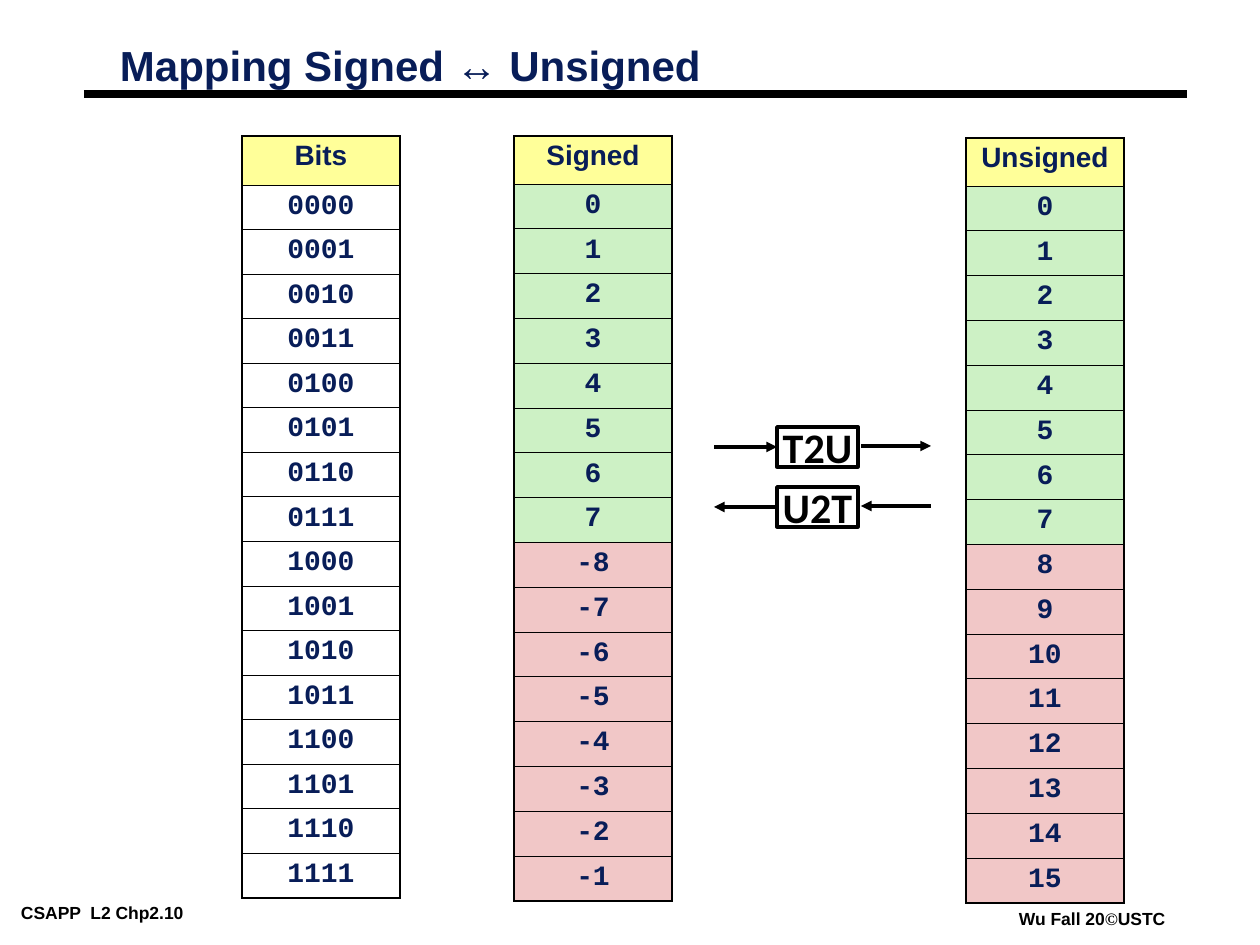
"""Build the slide that maps signed to unsigned four-bit values."""

from pptx import Presentation
from pptx.dml.color import RGBColor
from pptx.enum.shapes import MSO_CONNECTOR, MSO_SHAPE
from pptx.enum.text import MSO_ANCHOR, PP_ALIGN
from pptx.oxml.xmlchemy import OxmlElement
from pptx.util import Emu, Pt

BLACK = RGBColor(0x00, 0x00, 0x00)
WHITE = RGBColor(0xFF, 0xFF, 0xFF)
NAVY = RGBColor(0x08, 0x1D, 0x58)
YELLOW = RGBColor(0xFF, 0xFF, 0x99)
GREEN = RGBColor(0xCD, 0xF1, 0xC5)
PINK = RGBColor(0xF1, 0xC7, 0xC7)

TITLE = "Mapping Signed ↔ Unsigned"
COURSE = "CSAPP  L2 Chp2.10"
CREDIT = [("Wu Fall 20", "Arial"), ("©", "Times New Roman"), ("USTC", "Arial")]

HALF = 8
COUNT = 2 * HALF
COLUMNS = [
    {"heading": "Signed", "values": [*range(HALF), *range(-HALF, 0)],
     "fills": (GREEN, PINK), "left": 514, "top": 136, "header": 48, "height": 765},
    {"heading": "Unsigned", "values": range(COUNT),
     "fills": (GREEN, PINK), "left": 966, "top": 138, "header": 48, "height": 765},
    {"heading": "Bits", "values": [f"{n:04b}" for n in range(COUNT)],
     "fills": (None, None), "left": 242, "top": 136, "header": 49, "height": 762},
]
COLUMN_WIDTH = 158
THICK, THIN = 1.08, 0.45

CONVERSIONS = [("U2T", 487, "tailEnd"), ("T2U", 427, "headEnd")]
BOX_LEFT, BOX_WIDTH, BOX_HEIGHT = 777, 81, 40
ARROW_LEFT, ARROW_RIGHT, ARROW_GAP = 714, 931, 3


def px(length):
    return Emu(round(length * 914400 / 126))


def write(frame, text, size, font="Arial", color=BLACK, align=PP_ALIGN.LEFT,
          spacing=None, insets=(9, 4), wrap=True, anchor=MSO_ANCHOR.TOP):
    frame.word_wrap = wrap
    frame.vertical_anchor = anchor
    frame.margin_left = frame.margin_right = px(insets[0])
    frame.margin_top = frame.margin_bottom = px(insets[1])
    paragraph = frame.paragraphs[0]
    paragraph.alignment = align
    paragraph.line_spacing = spacing
    for part, face in [(text, font)] if isinstance(text, str) else text:
        run = paragraph.add_run()
        run.text = part
        run.font.name = face
        run.font.size = Pt(size)
        run.font.bold = True
        run.font.color.rgb = color


def add_label(slide, text, left, top, width, height, **style):
    label = slide.shapes.add_textbox(px(left), px(top), px(width), px(height))
    write(label.text_frame, text, **style)


def add_line(slide, start, end, width, arrow=None):
    line = slide.shapes.add_connector(
        MSO_CONNECTOR.STRAIGHT, *map(px, start), *map(px, end))
    line.line.color.rgb = BLACK
    line.line.width = Pt(width)
    if arrow:
        head = OxmlElement(f"a:{arrow}")
        head.set("type", "triangle")
        line.line._get_or_add_ln().append(head)
    line._element.spPr.append(OxmlElement("a:effectLst"))
    return line


def add_borders(cell, top, bottom):
    properties = cell._tc.get_or_add_tcPr()
    for side, width in (("L", THICK), ("R", THICK), ("T", top), ("B", bottom)):
        border = OxmlElement(f"a:ln{side}")
        border.set("w", str(Pt(width)))
        fill = OxmlElement("a:solidFill")
        color = OxmlElement("a:srgbClr")
        color.set("val", str(BLACK))
        fill.append(color)
        border.append(fill)
        properties.append(border)


def add_column(slide, heading, values, fills, left, top, header, height):
    table = slide.shapes.add_table(
        COUNT + 1, 1, px(left), px(top), px(COLUMN_WIDTH), px(height)).table
    table.first_row = table.horz_banding = False
    entries = [(heading, "Arial", YELLOW)]
    entries += [(str(value), "Courier New", fills[index // HALF])
                for index, value in enumerate(values)]
    for index, (text, font, fill) in enumerate(entries):
        table.rows[index].height = px((height - header) / COUNT if index else header)
        cell = table.cell(index, 0)
        cell.margin_left = cell.margin_right = px(6)
        cell.margin_top = cell.margin_bottom = px(6)
        add_borders(cell, THIN if index else THICK, THICK if index == COUNT else THIN)
        if fill:
            cell.fill.solid()
            cell.fill.fore_color.rgb = fill
        else:
            cell.fill.background()
        write(cell.text_frame, text, 16, font=font, color=NAVY,
              align=PP_ALIGN.CENTER, spacing=0.95, insets=(6, 6))


def add_conversion(slide, name, top, arrow):
    box = slide.shapes.add_shape(
        MSO_SHAPE.RECTANGLE, px(BOX_LEFT), px(top), px(BOX_WIDTH), px(BOX_HEIGHT))
    box.shadow.inherit = False
    box.fill.solid()
    box.fill.fore_color.rgb = WHITE
    box.line.color.rgb = BLACK
    box.line.width = Pt(2)
    write(box.text_frame, name, 24, font="Calibri", align=PP_ALIGN.CENTER,
          insets=(13, 6), wrap=False, anchor=MSO_ANCHOR.MIDDLE)
    middle = top + BOX_HEIGHT // 2
    signed_side = add_line(slide, (BOX_LEFT, middle), (ARROW_LEFT, middle), 2, arrow)
    signed_side.begin_connect(box, 1)
    add_line(slide, (ARROW_RIGHT, middle - 1),
             (BOX_LEFT + BOX_WIDTH + ARROW_GAP, middle - 1), 2, arrow)


def main():
    deck = Presentation()
    deck.slide_width, deck.slide_height = px(1260), px(945)
    slide = deck.slides.add_slide(deck.slide_layouts[6])
    add_label(slide, COURSE, 12, 898, 246, 28, size=10)
    add_label(slide, CREDIT, 1010, 904, 170, 28, size=10)
    add_line(slide, (84, 94), (1187, 94), 4.5)
    add_label(slide, TITLE, 111, 42, 600, 50, size=24, color=NAVY, spacing=0.87)
    for column in COLUMNS:
        add_column(slide, **column)
    for conversion in CONVERSIONS:
        add_conversion(slide, *conversion)
    deck.save("out.pptx")


if __name__ == "__main__":
    main()
